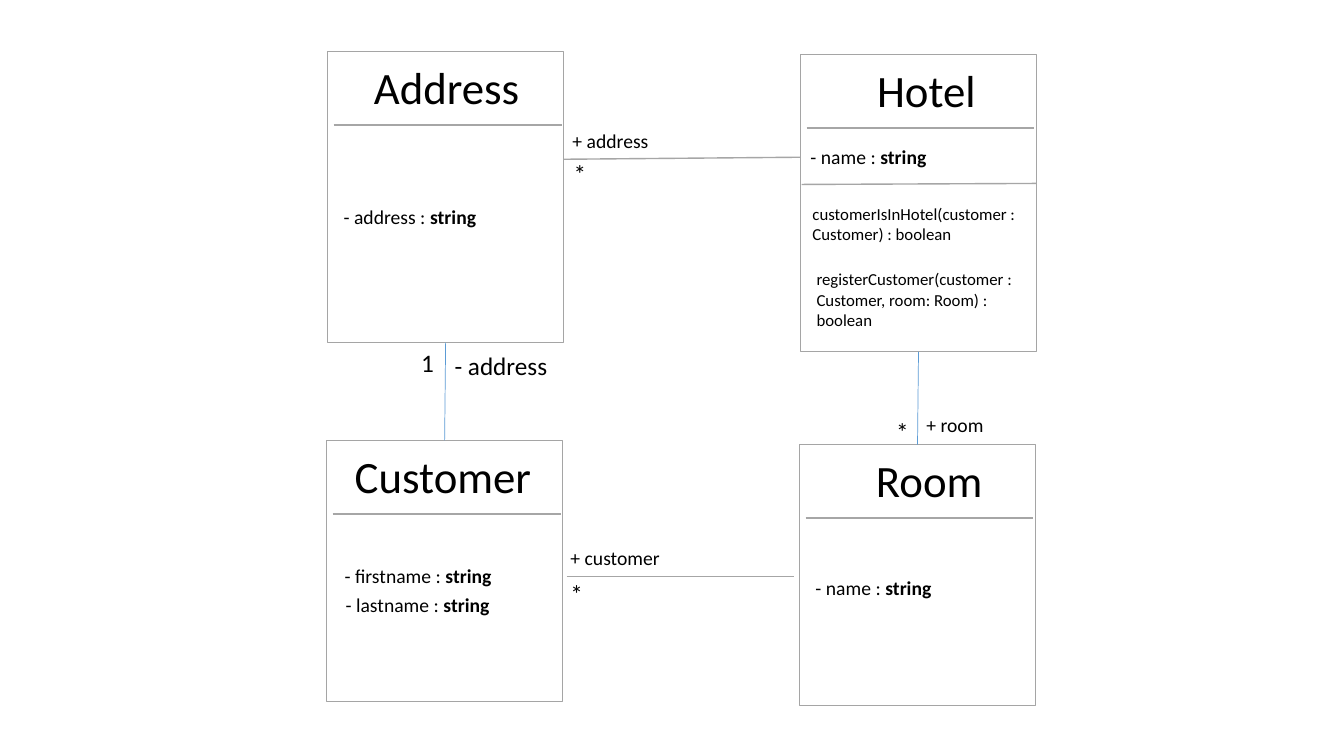
import pptx
import pptx.util
import pptx.dml.color
import pptx.enum.shapes
import pptx.enum.text
from lxml import etree

SCALE = 9144  # EMU per px, 100 px to the inch
BLACK, WHITE, GREY, RULE, BLUE = "000000", "FFFFFF", "A5A5A5", "A6A6A6", "5B9BD5"
DRAW = "http://schemas.openxmlformats.org/drawingml/2006/main"

# name, box (left, top, width, height), title (left, width)
CARDS = [
    ("Address", (325, 51, 234, 289), (361, 166)),
    ("Hotel", (794, 54, 234, 295), (860, 119)),
    ("Customer", (324, 437, 234, 259), (342, 197)),
    ("Room", (793, 441, 234, 259), (859, 127)),
]
# text, left, top, width
FIELDS = [
    ("address", 331, 198, 153),
    ("name", 794, 139, 136),
    ("firstname", 332, 555, 167),
    ("lastname", 333, 583, 164),
    ("name", 799, 566, 136),
]
# text, left, top, width, height, size
ROLES = [
    ("+ address", 558, 123, 96, 34, 14),
    ("*", 559, 152, 33, 40, 18),
    ("+ customer", 556, 537, 110, 34, 14),
    ("*", 556, 569, 33, 40, 18),
    ("+ room", 909, 405, 77, 34, 14),
    ("*", 879, 408, 33, 40, 18),
    ("1", 408, 340, 33, 40, 18),
    ("- address", 441, 343, 118, 40, 18),
]
METHODS = [
    ("customerIsInHotel(customer : Customer) : boolean", 796, 197, 232, 50),
    ("registerCustomer(customer : Customer, room: Room) : boolean", 800, 262, 232, 71),
]


def px(*nums):
    return [pptx.util.Emu(num * SCALE) for num in nums]


def color(code):
    return pptx.dml.color.RGBColor.from_string(code)


def style(font, form):
    for key, value in form.items():
        setattr(font, key, value)
    font.color.rgb = color(BLACK)


def label(slide, runs, box, size, wrap=False):
    """Place one line of text; runs are (text, bold) pairs."""
    frame = slide.shapes.add_textbox(*px(*box)).text_frame
    frame.word_wrap = wrap
    frame.auto_size = pptx.enum.text.MSO_AUTO_SIZE.SHAPE_TO_FIT_TEXT
    for text, bold in runs:
        run = frame.paragraphs[0].add_run()
        run.text = text
        style(run.font, {"name": "Calibri", "size": pptx.util.Pt(size), "bold": bold})


def line(slide, start, end, code=RULE, width=1):
    kind = pptx.enum.shapes.MSO_CONNECTOR.STRAIGHT
    link = slide.shapes.add_connector(kind, *px(*start, *end))
    link.line.color.rgb = color(code)
    link.line.width = pptx.util.Pt(width)
    etree.SubElement(link._element.spPr, f"{{{DRAW}}}effectLst")
    return link


def join(slide, top, bottom):
    """Link the bottom of one card to the top of another."""
    link = line(slide, (0, 0), (0, 0), BLUE, 0.5)
    link.begin_connect(top, 2)
    link.end_connect(bottom, 0)


def card(slide, name, box, title):
    """Draw a class box with its title and the rule below it."""
    left, top = box[:2]
    shape = slide.shapes.add_shape(pptx.enum.shapes.MSO_SHAPE.RECTANGLE, *px(*box))
    shape.shadow.inherit = False
    shape.fill.solid()
    shape.fill.fore_color.rgb = color(WHITE)
    shape.line.color.rgb = color(GREY)
    shape.line.width = pptx.util.Pt(1)
    label(slide, [(name, False)], (title[0], top + 3, title[1], 64), 32)
    line(slide, (left + 6, top + 73), (left + 232, top + 73))
    return shape


def main():
    deck = pptx.Presentation()
    deck.slide_width, deck.slide_height = px(1333, 750)
    slide = deck.slides.add_slide(deck.slide_layouts[6])

    # Classes
    cards = {name: card(slide, name, box, title) for name, box, title in CARDS}
    line(slide, (795, 183), (1028, 182))

    # Associations
    line(slide, (559, 158), (794, 156))
    line(slide, (562, 572), (788, 572))
    join(slide, cards["Hotel"], cards["Room"])
    join(slide, cards["Address"], cards["Customer"])

    # Fields, methods and roles
    for name, left, top, width in FIELDS:
        runs = [(f"- {name} : ", False), ("string", True)]
        label(slide, runs, (left, top, width, 34), 14)
    for text, *box in METHODS:
        label(slide, [(text, False)], box, 12, wrap=True)
    for text, *box, size in ROLES:
        label(slide, [(text, False)], box, size)

    deck.save("out.pptx")


if __name__ == "__main__":
    main()
